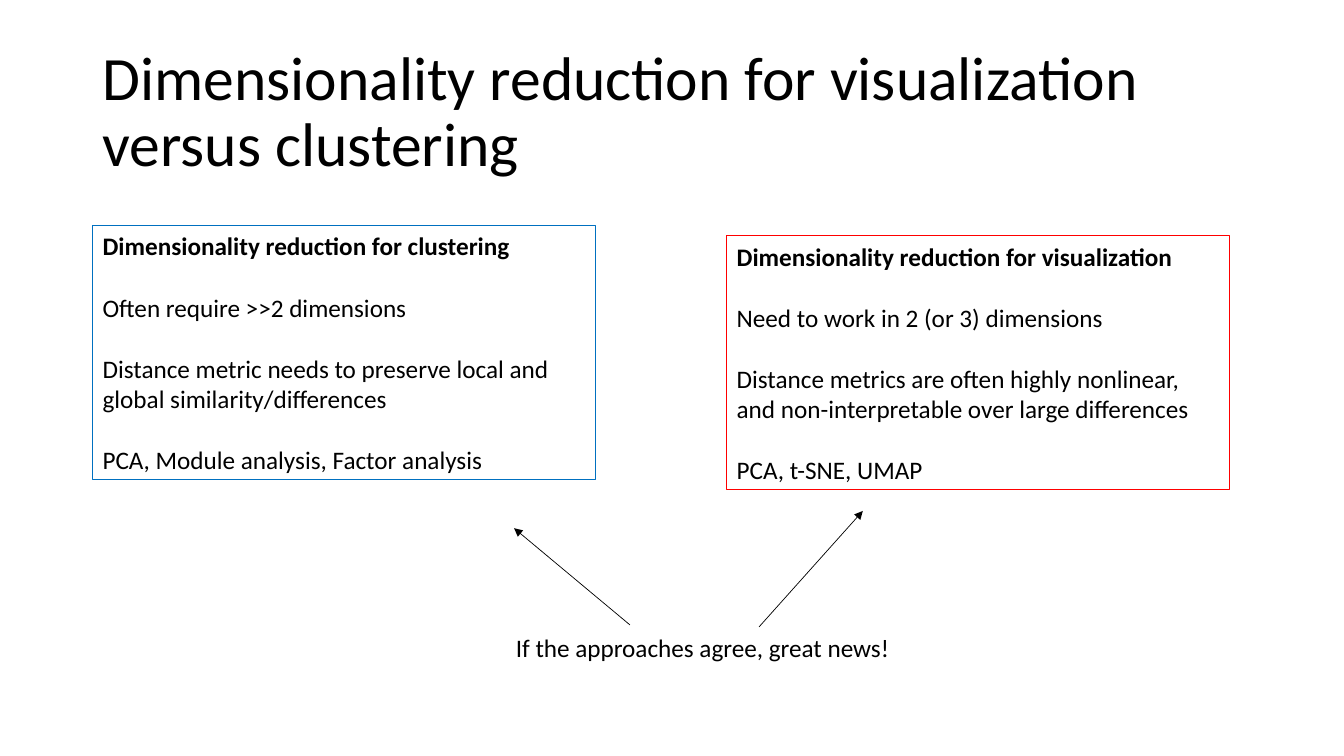
from dataclasses import dataclass

from lxml import etree
from pptx import Presentation
from pptx.dml.color import RGBColor
from pptx.enum import shapes, text
from pptx.oxml import ns
from pptx.util import Pt

COLORS = {"text": "000000", "clustering": "0070C0", "visualization": "FF0000"}
FONT = "Calibri"
BODY_SIZE = 18
BODY_GAP = 22  # one line of body text
BOX_WIDTH, BOX_HEIGHT = 359.3, 181.4


@dataclass
class Box:
    left: float
    top: float
    color: str
    heading: str
    points: list[str]


@dataclass
class Arrow:
    start: tuple[float, float]
    end: tuple[float, float]


BOXES = [
    Box(66.2, 161.3, "clustering", "Dimensionality reduction for clustering", [
        "Often require >>2 dimensions",
        "Distance metric needs to preserve local and global similarity/differences",
        "PCA, Module analysis, Factor analysis",
    ]),
    Box(519.1, 168.5, "visualization", "Dimensionality reduction for visualization", [
        "Need to work in 2 (or 3) dimensions",
        "Distance metrics are often highly nonlinear, and non-interpretable over large differences",
        "PCA, t-SNE, UMAP",
    ]),
]
ARROWS = [
    Arrow((450, 446.4), (367.2, 377.3)),
    Arrow((542.2, 447.8), (616.3, 365)),
]


def rgb(name: str) -> RGBColor:
    return RGBColor.from_string(COLORS[name])


def write(p, content: str, *, size: float = BODY_SIZE, bold: bool = False,
          before: float = 0, spacing: float = 1.0) -> None:
    """Fill a paragraph with one formatted run."""
    p.alignment = text.PP_ALIGN.LEFT
    p.space_before = Pt(before)
    p.line_spacing = spacing
    r = p.add_run()
    r.text = content
    r.font.name = FONT
    r.font.size = Pt(size)
    r.font.bold = bold
    r.font.color.rgb = rgb("text")


def add_label(slide, left: float, top: float, width: float, height: float,
              content: str, *, anchor=text.MSO_ANCHOR.TOP, **style) -> None:
    tf = slide.shapes.add_textbox(Pt(left), Pt(top), Pt(width), Pt(height)).text_frame
    tf.word_wrap = True
    tf.vertical_anchor = anchor
    write(tf.paragraphs[0], content, **style)


def add_box(slide, box: Box) -> None:
    sp = slide.shapes.add_shape(shapes.MSO_SHAPE.RECTANGLE, Pt(box.left), Pt(box.top),
                                Pt(BOX_WIDTH), Pt(BOX_HEIGHT))
    sp.shadow.inherit = False
    sp.fill.background()
    sp.line.color.rgb = rgb(box.color)
    sp.line.width = Pt(0.75)
    tf = sp.text_frame
    tf.word_wrap = True
    tf.vertical_anchor = text.MSO_ANCHOR.TOP
    write(tf.paragraphs[0], box.heading, bold=True)
    for point in box.points:
        write(tf.add_paragraph(), point, before=BODY_GAP)


def add_arrow(slide, arrow: Arrow) -> None:
    line = slide.shapes.add_connector(shapes.MSO_CONNECTOR.STRAIGHT,
                                      *map(Pt, arrow.start + arrow.end))
    line.line.color.rgb = rgb("text")
    line.line.width = Pt(0.5)
    etree.SubElement(line.line._get_or_add_ln(), ns.qn("a:tailEnd"), type="triangle")
    etree.SubElement(line._element.spPr, ns.qn("a:effectLst"))


def main() -> None:
    prs = Presentation()
    prs.slide_width, prs.slide_height = Pt(960), Pt(540)
    slide = prs.slides.add_slide(prs.slide_layouts[6])

    add_label(slide, 66.2, 28.8, 828, 104.4,
              "Dimensionality reduction for visualization versus clustering",
              anchor=text.MSO_ANCHOR.MIDDLE, size=44, spacing=0.9)
    for box in BOXES:
        add_box(slide, box)
    add_label(slide, 361.4, 447.8, 292.3, 28.8, "If the approaches agree, great news!")
    for arrow in ARROWS:
        add_arrow(slide, arrow)

    prs.save("out.pptx")


if __name__ == "__main__":
    main()
